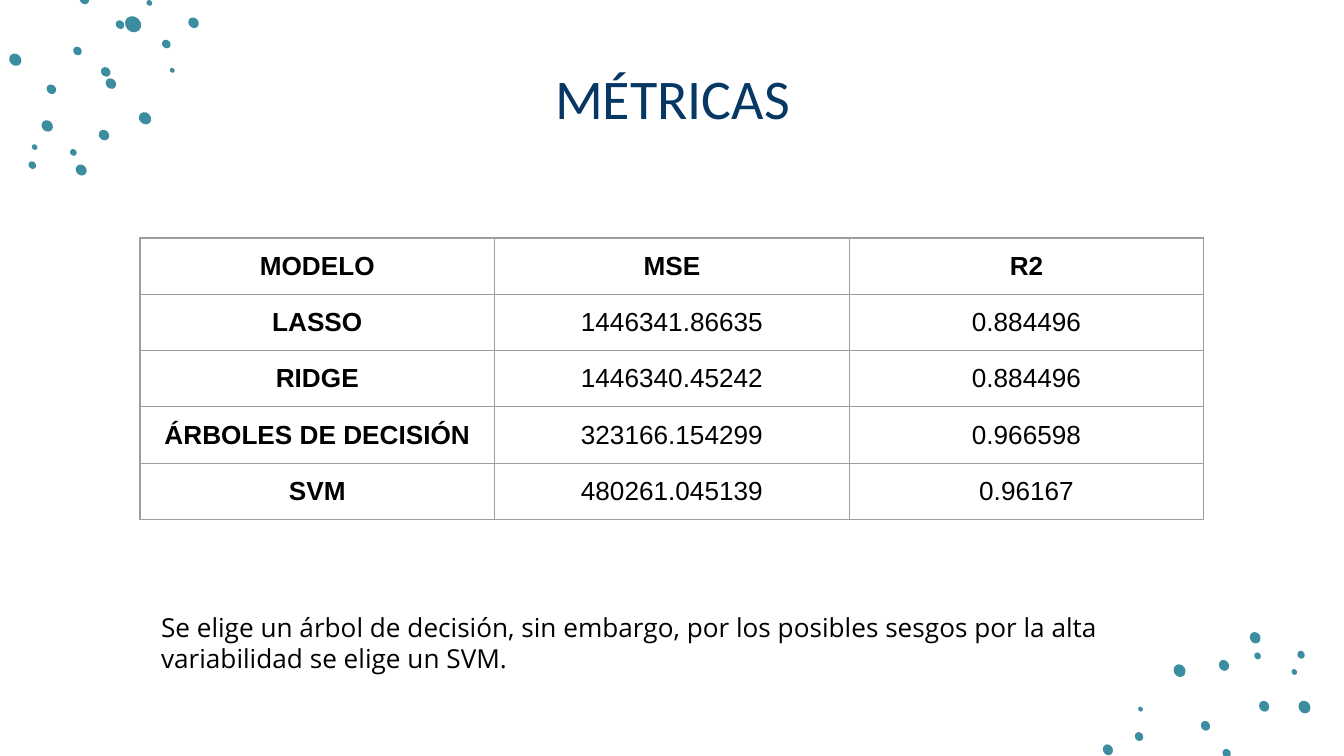
"""Builds the metrics slide: title, model table, conclusion and corner dots."""
import pptx
import pptx.dml.color
import pptx.enum.shapes
import pptx.enum.text
import pptx.oxml
import pptx.util
from dataclasses import dataclass

Pt = pptx.util.Pt
RGB = pptx.dml.color.RGBColor
PP_ALIGN = pptx.enum.text.PP_ALIGN
ANCHOR = pptx.enum.text.MSO_ANCHOR


@dataclass(frozen=True)
class Theme:
    title: str = "073763"
    text: str = "000000"
    dot: str = "3C8DA0"
    border: str = "9E9E9E"
    title_size: int = 30
    body_size: int = 14
    inset: float = 7.2


theme = Theme()


def style(tf, font, size, color, align, bold=False):
    for p in tf.paragraphs:
        p.alignment = align
        for r in p.runs:
            r.font.name = font
            r.font.size = Pt(size)
            r.font.bold = bold
            r.font.color.rgb = RGB.from_string(color)


def set_insets(box):
    box.margin_left = box.margin_right = Pt(theme.inset)
    box.margin_top = box.margin_bottom = Pt(theme.inset)


prs = pptx.Presentation()
prs.slide_width, prs.slide_height = Pt(720), Pt(405)
s = prs.slides.add_slide(prs.slide_layouts[5])

dot_groups = {
    45: [(71.3, 13, 9.2), (80, 1.6, 3.2), (45.2, -0.3, 5.4), (64.3, 13.2, 4.9),
         (41.5, 27.3, 4.9), (56.6, 38.5, 5.4), (59.4, 44.8, 6), (27.5, 47.8, 5.4),
         (55.7, 72.4, 6), (25.3, 67.5, 6.5), (39.3, 81.7, 3.8), (43.5, 91.1, 6.3),
         (18.5, 78.8, 3.2), (17.3, 88.5, 4.3), (77.7, 63.4, 7), (103.7, 12.2, 6),
         (89.1, 23.6, 4.9), (92.3, 37.7, 2.7), (8.2, 32, 7)],
    60: [(657.1, 403.6, 4.9), (645.8, 388.8, 5.4), (677.2, 378.4, 6),
         (655.7, 356.5, 6), (673.7, 351.4, 3.8), (672.4, 341.7, 6.3),
         (693.4, 360, 3.2), (697, 350.8, 4.3), (631.9, 359.3, 7),
         (593.5, 401.7, 6), (610.2, 394.6, 4.9), (611, 379.9, 2.7),
         (698.8, 378.8, 7)],
}
for angle, dots in dot_groups.items():
    for x, y, w in dots:
        h = 0.88 * w
        sp = s.shapes.add_shape(pptx.enum.shapes.MSO_SHAPE.OVAL,
                                Pt(x - w / 2), Pt(y - h / 2), Pt(w), Pt(h))
        sp.rotation = angle
        sp.shadow.inherit = False
        sp.fill.solid()
        sp.fill.fore_color.rgb = RGB.from_string(theme.dot)
        sp.line.fill.background()

title = s.shapes.title
title.left, title.top, title.width, title.height = Pt(58.3), Pt(29.5), Pt(604), Pt(45.4)
tf = title.text_frame
tf.text = "MÉTRICAS"
tf.auto_size = pptx.enum.text.MSO_AUTO_SIZE.NONE
tf.vertical_anchor = ANCHOR.MIDDLE
set_insets(tf)
style(tf, "Calibri", theme.title_size, theme.title, PP_ALIGN.CENTER)

rows = [
    ("MODELO", "MSE", "R2"),
    ("LASSO", "1446341.86635", "0.884496"),
    ("RIDGE", "1446340.45242", "0.884496"),
    ("ÁRBOLES DE DECISIÓN", "323166.154299", "0.966598"),
    ("SVM", "480261.045139", "0.96167"),
]
table = s.shapes.add_table(len(rows), 3, Pt(75), Pt(127.5), Pt(570), Pt(150)).table
table.first_row = table.horz_banding = False
for i, row in enumerate(rows):
    table.rows[i].height = Pt(30)
    for j, value in enumerate(row):
        cell = table.cell(i, j)
        cell.text_frame.text = value
        cell.vertical_anchor = ANCHOR.TOP
        set_insets(cell)
        style(cell.text_frame, "Arial", theme.body_size, theme.text,
              PP_ALIGN.CENTER, bold=i == 0 or j == 0)
        tcPr = cell._tc.get_or_add_tcPr()
        for side in ("lnL", "lnR", "lnT", "lnB"):
            tcPr.append(pptx.oxml.parse_xml(
                f'<a:{side} xmlns:a="http://schemas.openxmlformats.org/drawingml/2006/main" '
                f'w="{Pt(0.75)}"><a:solidFill><a:srgbClr val="{theme.border}"/>'
                f'</a:solidFill></a:{side}>'))
        cell.fill.background()

sp = s.shapes.add_textbox(Pt(79.2), Pt(320.4), Pt(570), Pt(48))
tf = sp.text_frame
tf.word_wrap = True
set_insets(tf)
tf.text = ("Se elige un árbol de decisión, sin embargo, por los posibles sesgos "
           "por la alta variabilidad se elige un SVM.")
style(tf, "Open Sans", theme.body_size, theme.text, PP_ALIGN.LEFT)

prs.save("out.pptx")
